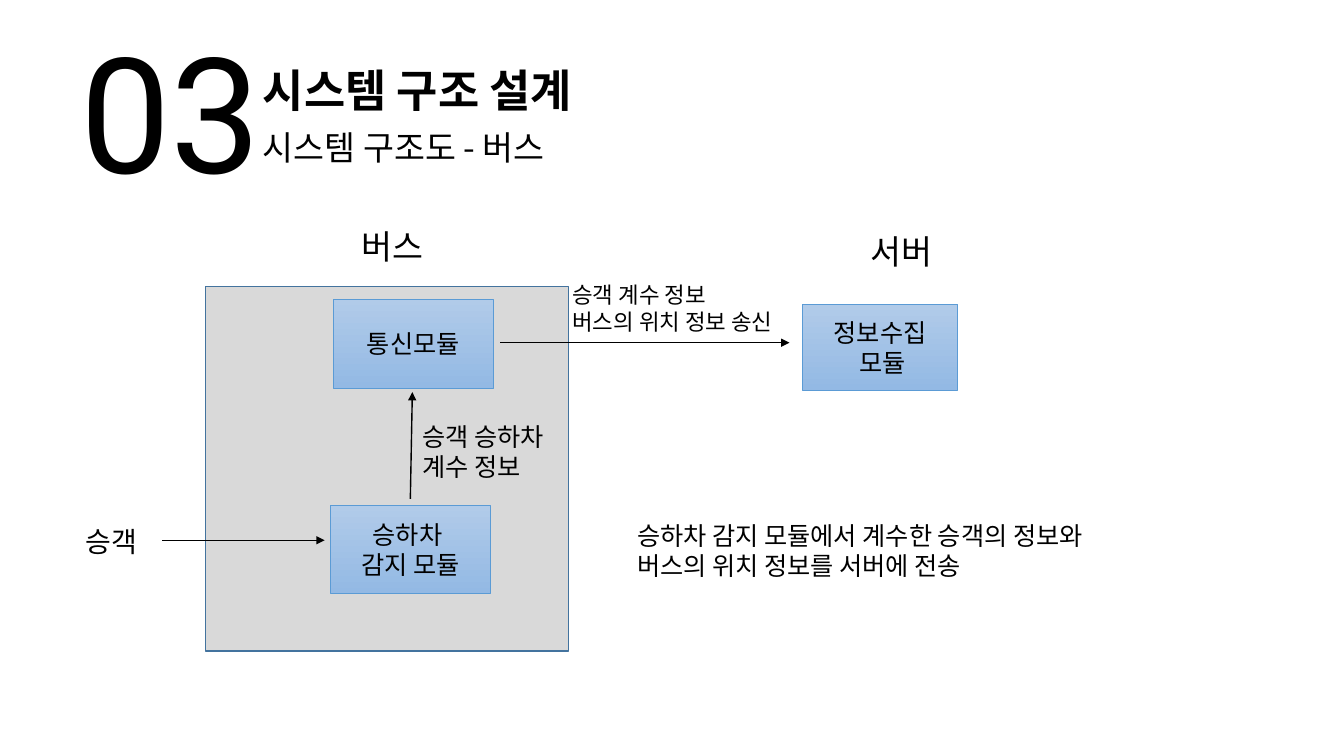
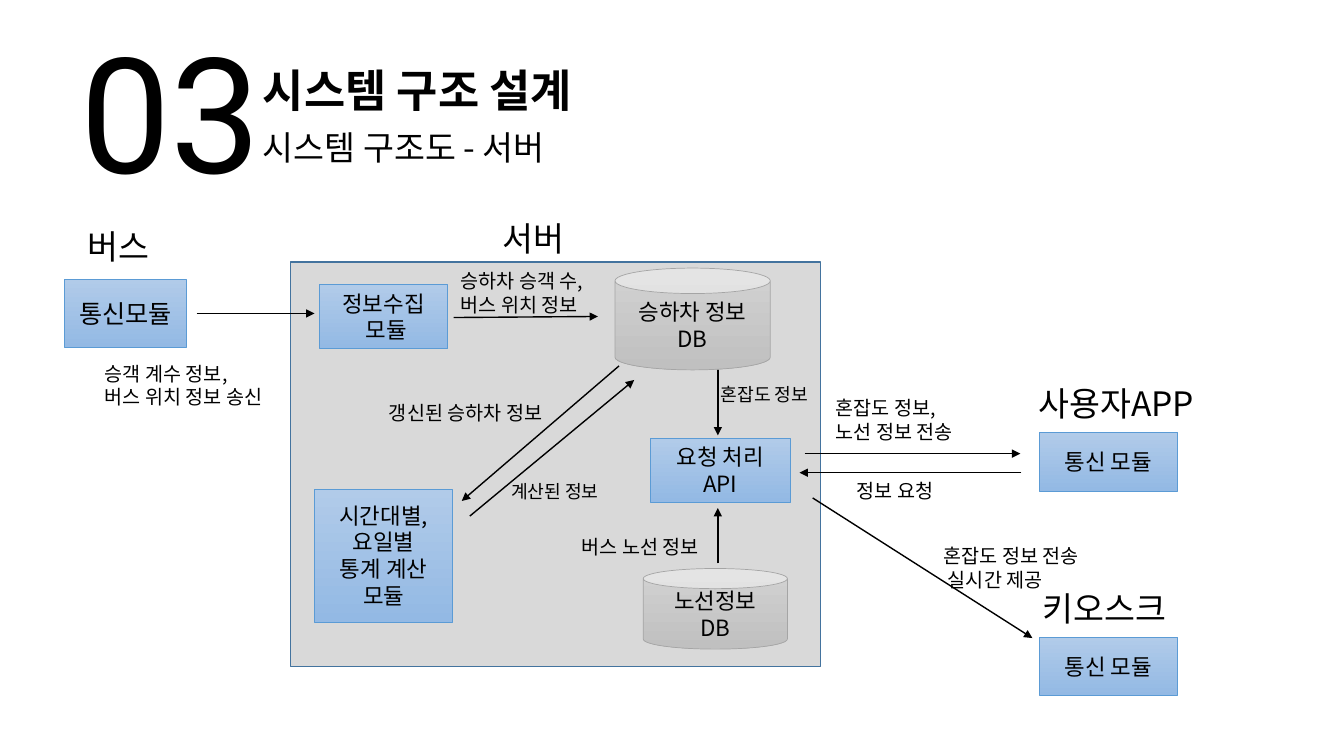
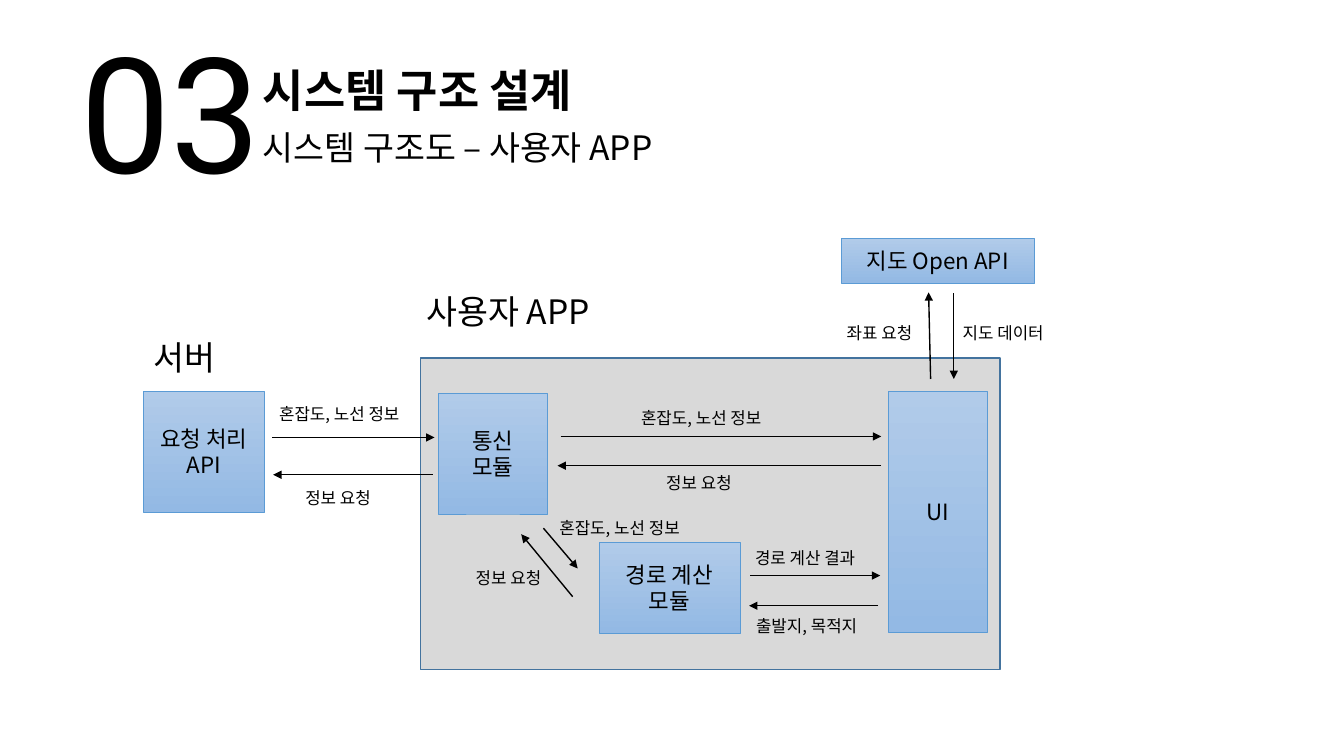
import pptx
import pptx.util
import pptx.dml.color
import pptx.enum.shapes
import pptx.enum.text
import pptx.oxml
import pptx.oxml.ns

RGBColor = pptx.dml.color.RGBColor
SHAPES = pptx.enum.shapes.MSO_SHAPE
ALIGN = pptx.enum.text.PP_ALIGN
ANCHOR = pptx.enum.text.MSO_ANCHOR
AUTO_SIZE = pptx.enum.text.MSO_AUTO_SIZE

PX = 9144  # EMU per px, 100 px to the inch
SLIDE_WIDTH, SLIDE_HEIGHT = 1333, 750

BLACK = RGBColor(0x00, 0x00, 0x00)
PANEL_FILL = RGBColor(0xD9, 0xD9, 0xD9)
PANEL_LINE = RGBColor(0x43, 0x73, 0x9E)
BLUE_TOP = RGBColor(0xB1, 0xCB, 0xE9)
BLUE_BOTTOM = RGBColor(0x93, 0xB9, 0xE4)
BLUE_LINE = RGBColor(0x5B, 0x9B, 0xD5)
GREY_TOP = RGBColor(0xD2, 0xD2, 0xD2)
GREY_BOTTOM = RGBColor(0xC0, 0xC0, 0xC0)
GREY_LINE = RGBColor(0xA5, 0xA5, 0xA5)

BODY_FONT = "Noto Sans CJK KR"
NUMBER_FONT = "Roboto"

MODULE_STYLE = (SHAPES.RECTANGLE, BLUE_TOP, BLUE_BOTTOM, BLUE_LINE)
DATABASE_STYLE = (SHAPES.CAN, GREY_TOP, GREY_BOTTOM, GREY_LINE)


# Shared helpers

def emu(*lengths):
    return [pptx.util.Emu(length * PX) for length in lengths]


def inside(box, left, top, width, height):
    """Turn a place relative to the box into a place on the slide."""
    return box[0] + left, box[1] + top, width, height


def set_text(frame, text, size, font=BODY_FONT, bold=False, align=None):
    frame.text = text
    font_format = {"name": font, "size": pptx.util.Pt(size), "bold": bold}
    for paragraph in frame.paragraphs:
        paragraph.alignment = align
        for run in paragraph.runs:
            for name, value in font_format.items():
                setattr(run.font, name, value)
            run.font.color.rgb = BLACK
            east_asian = pptx.oxml.parse_xml(
                f'<a:ea {pptx.oxml.ns.nsdecls("a")} typeface="{font}"/>')
            run.font._element.find(pptx.oxml.ns.qn("a:latin")).addnext(east_asian)


def add_label(slide, place, text, size, wrap=True, **text_format):
    label = slide.shapes.add_textbox(*emu(*place))
    set_text(label.text_frame, text, size, **text_format)
    frame_format = {"word_wrap": wrap, "auto_size": AUTO_SIZE.SHAPE_TO_FIT_TEXT}
    for name, value in frame_format.items():
        setattr(label.text_frame, name, value)


def add_heading(slide, box, left, top, text, width=98):
    add_label(slide, inside(box, left, top, width, 50), text, 24)


def add_labels(slide, box, labels, size, wrap=True):
    for left, top, width, height, text in labels:
        add_label(slide, inside(box, left, top, width, height), text, size, wrap)


def add_panel(slide, box):
    panel = slide.shapes.add_shape(SHAPES.RECTANGLE, *emu(*box))
    panel.shadow.inherit = False
    panel.fill.solid()
    panel.fill.fore_color.rgb = PANEL_FILL
    panel.line.color.rgb = PANEL_LINE
    panel.line.width = pptx.util.Pt(1)


def add_block(slide, place, text, size=16, style=MODULE_STYLE):
    kind, top_color, bottom_color, line_color = style
    block = slide.shapes.add_shape(kind, *emu(*place))
    block.shadow.inherit = False
    block.fill.gradient()
    block.fill.gradient_angle = 270
    for stop, color in zip(block.fill.gradient_stops, (top_color, bottom_color)):
        stop.color.rgb = color
    block.line.color.rgb = line_color
    block.line.width = pptx.util.Pt(0.5)
    block.text_frame.vertical_anchor = ANCHOR.MIDDLE
    set_text(block.text_frame, text, size, align=ALIGN.CENTER)


def add_arrows(slide, box, arrows):
    for start_x, start_y, end_x, end_y in arrows:
        arrow = slide.shapes.add_connector(
            pptx.enum.shapes.MSO_CONNECTOR.STRAIGHT,
            *emu(box[0] + start_x, box[1] + start_y, box[0] + end_x, box[1] + end_y))
        arrow.line.color.rgb = BLACK
        arrow.line.width = pptx.util.Pt(1)
        namespace = pptx.oxml.ns.nsdecls("a")
        arrow.line._get_or_add_ln().append(
            pptx.oxml.parse_xml(f'<a:tailEnd {namespace} type="triangle"/>'))
        arrow._element.spPr.append(pptx.oxml.parse_xml(f"<a:effectLst {namespace}/>"))


def add_title(slide, box, subtitle):
    add_label(slide, inside(box, 0, 0, 204, 204), "03", 115, wrap=False, font=NUMBER_FONT)
    add_label(slide, inside(box, 181, 49, 596, 64), "시스템 구조 설계", 32, bold=True)
    add_label(slide, inside(box, 181, 113, 629, 50), subtitle, 24)


# Slide 1: bus

def bus_system(slide, box):
    add_panel(slide, box)
    add_heading(slide, box, 145, -65, "버스")
    add_block(slide, inside(box, 127, 13, 158, 88), "통신모듈", 18)
    add_block(slide, inside(box, 124, 217, 158, 88), "승하차 \n감지 모듈", 18)
    add_arrows(slide, box, [(-43, 252, 118, 252), (203, 211, 205, 105)])
    add_labels(slide, box, [(-129, 231, 81, 44, "승객")], 20)
    add_labels(slide, box, [(205, 129, 247, 71, "승객 승하차\n계수 정보")], 18)


def receiving_server(slide, box):
    add_heading(slide, box, 58, -78, "서버")
    add_block(slide, box, "정보수집\n 모듈", 18)
    add_arrows(slide, box, [(-300, 38, -13, 38)])
    add_labels(slide, box, [
        (-238, -28, 246, 64, "승객 계수 정보\n버스의 위치 정보 송신")], 16, wrap=False)


def bus_note(slide, box):
    add_label(slide, box,
              "승하차 감지 모듈에서 계수한 승객의 정보와\n버스의 위치 정보를 서버에 전송", 18)


# Slide 2: server

def server_system(slide, box):
    add_panel(slide, box)
    add_heading(slide, box, 201, -49, "서버")
    add_arrows(slide, box, [
        (162, 55, 305, 54),
        (424, 97, 424, 172),
        (424, 299, 424, 244),
        (326, 103, 170, 237),
        (178, 252, 341, 117),
    ])
    add_block(slide, inside(box, 29, 22, 127, 64), "정보수집\n 모듈")
    add_block(slide, inside(box, 357, 175, 139, 63), "요청 처리 API")
    add_block(slide, inside(box, 24, 225, 137, 132), "시간대별, 요일별\n통계 계산 모듈")
    add_block(slide, inside(box, 322, 6, 154, 101), "승하차 정보\nDB", style=DATABASE_STYLE)
    add_block(slide, inside(box, 350, 304, 143, 80), "노선정보\nDB", style=DATABASE_STYLE)
    add_labels(slide, box, [
        (159, 2, 162, 57, "승하차 승객 수,\n버스 위치 정보"),
        (279, 266, 179, 34, "버스 노선 정보"),
        (88, 133, 200, 34, "갱신된 승하차 정보"),
    ], 14)
    add_labels(slide, box, [
        (209, 212, 129, 32, "계산된 정보"),
        (417, 115, 129, 32, "혼잡도 정보"),
    ], 13)


def sending_bus(slide, box):
    add_heading(slide, box, 13, -58, "버스")
    add_block(slide, box, "통신모듈", 18)
    add_arrows(slide, box, [(131, 34, 248, 34)])
    add_labels(slide, box, [
        (30, 77, 198, 57, "승객 계수 정보,\n버스 위치 정보 송신")], 14, wrap=False)


def server_client(slide, box, heading, heading_left, arrows, labels):
    add_heading(slide, box, heading_left, -54, heading, width=195)
    add_block(slide, box, "통신 모듈")
    add_arrows(slide, box, arrows)
    add_labels(slide, box, labels, 14)


# Slide 3: user app

def app_system(slide, box):
    add_panel(slide, box)
    add_heading(slide, box, -4, -71, "사용자 APP", width=192)
    add_block(slide, inside(box, 18, 35, 108, 120), "통신\n모듈")
    add_block(slide, inside(box, 177, 183, 140, 90), "경로 계산 모듈")
    add_block(slide, inside(box, 464, 33, 98, 239), "UI")
    add_arrows(slide, box, [
        (139, 78, 457, 78),
        (457, 107, 136, 107),
        (327, 216, 456, 216),
        (454, 246, 326, 246),
        (122, 169, 156, 209),
        (151, 237, 100, 175),
    ])
    add_labels(slide, box, [
        (209, 45, 154, 30, "혼잡도, 노선 정보"),
        (234, 109, 93, 30, "정보 요청"),
        (128, 154, 154, 30, "혼잡도, 노선 정보"),
        (45, 203, 93, 30, "정보 요청"),
        (322, 183, 133, 30, "경로 계산 결과"),
        (323, 251, 131, 30, "출발지, 목적지"),
    ], 12, wrap=False)


def request_server(slide, box):
    add_heading(slide, box, 0, -59, "서버")
    add_block(slide, box, "요청 처리\nAPI")
    add_arrows(slide, box, [(128, 46, 289, 46), (287, 83, 129, 83)])
    add_labels(slide, box, [
        (125, 8, 154, 30, "혼잡도, 노선 정보"),
        (151, 91, 93, 30, "정보 요청"),
    ], 12, wrap=False)


def map_service(slide, box):
    add_block(slide, box, "지도 Open API")
    add_arrows(slide, box, [(112, 55, 112, 140), (89, 140, 87, 54)])
    add_labels(slide, box, [
        (-4, 79, 93, 30, "좌표 요청"),
        (111, 79, 110, 30, "지도 데이터"),
    ], 12, wrap=False)


# Deck

def add_slide(presentation, subtitle):
    slide = presentation.slides.add_slide(presentation.slide_layouts[6])
    add_title(slide, (70, 8), subtitle)
    return slide


def main():
    presentation = pptx.Presentation()
    presentation.slide_width, presentation.slide_height = emu(SLIDE_WIDTH, SLIDE_HEIGHT)

    slide = add_slide(presentation, "시스템 구조도 - 버스")
    bus_system(slide, (204, 284, 360, 362))
    receiving_server(slide, (796, 302, 154, 85))
    bus_note(slide, (622, 511, 657, 71))

    slide = add_slide(presentation, "시스템 구조도 - 서버")
    server_system(slide, (288, 260, 526, 401))
    sending_bus(slide, (64, 277, 121, 68))
    server_client(
        slide, (1031, 429, 137, 58), "사용자APP", -11,
        [(-233, 21, -19, 21), (-18, 40, -238, 40)],
        [(-212, -41, 156, 57, "혼잡도 정보,\n노선 정보 전송"),
         (-191, 41, 179, 34, "정보 요청")])
    server_client(
        slide, (1031, 632, 137, 58), "키오스크", -7,
        [(-225, -138, -7, 1)],
        [(-105, -97, 244, 57, "혼잡도 정보 전송\n 실시간 제공")])

    slide = add_slide(presentation, "시스템 구조도 – 사용자 APP")
    app_system(slide, (417, 355, 575, 309))
    request_server(slide, (142, 388, 120, 120))
    map_service(slide, (834, 236, 192, 45))

    presentation.save("out.pptx")


if __name__ == "__main__":
    main()
